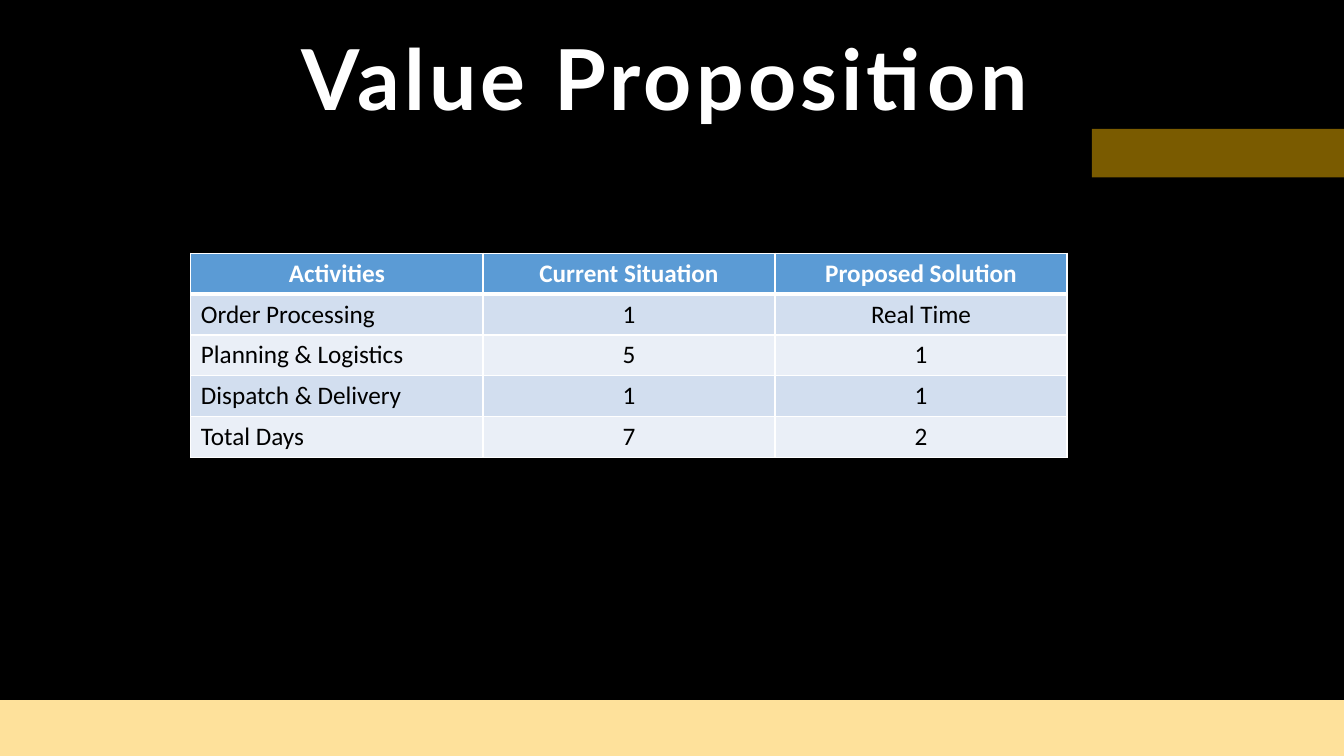
from dataclasses import dataclass

from lxml import etree
from pptx import Presentation
from pptx.dml.color import RGBColor
from pptx.enum.shapes import MSO_SHAPE
from pptx.enum.text import MSO_ANCHOR, PP_ALIGN
from pptx.oxml.ns import qn
from pptx.util import Cm, Pt

RECT = MSO_SHAPE.RECTANGLE
MIDDLE = MSO_ANCHOR.MIDDLE
LEFT, CENTER = PP_ALIGN.LEFT, PP_ALIGN.CENTER


@dataclass(frozen=True)
class Theme:
    back: str = "000000"
    gold: str = "FFC000"
    sand: str = "FEE19B"
    white: str = "FFFFFF"
    ink: str = "000000"
    head: str = "5B9BD5"
    bands: tuple = ("D2DEEF", "EAEFF7")
    title_font: str = "Lato"
    body_font: str = "Calibri"
    title_size: int = 60
    body_size: int = 18


theme = Theme()


def style(para, font, size, color, bold, align):
    para.alignment = align
    para.font.name = font
    para.font.size = Pt(size)
    para.font.bold = bold
    para.font.color.rgb = RGBColor.from_string(color)


def edge(cell, side, width):
    """Draw a white border on one side (L, R, T or B) of a cell."""
    props = cell._tc.get_or_add_tcPr()
    line = etree.SubElement(props, qn(f"a:ln{side}"), w=str(Pt(width)))
    fill = etree.SubElement(line, qn("a:solidFill"))
    etree.SubElement(fill, qn("a:srgbClr"), val=theme.white)


deck = Presentation()
deck.slide_width, deck.slide_height = Cm(33.87), Cm(19.05)
slide = deck.slides.add_slide(deck.slide_layouts[6])
slide.background.fill.solid()
slide.background.fill.fore_color.rgb = RGBColor.from_string(theme.back)

# Accent bar and footer band
bars = [
    (27.52, 3.25, 6.35, 1.22, theme.gold, 48),
    (0, 17.64, 33.87, 1.41, theme.sand, 100),
]
for left, top, width, height, color, alpha in bars:
    bar = slide.shapes.add_shape(RECT, Cm(left), Cm(top), Cm(width), Cm(height))
    bar.shadow.inherit = False
    bar.line.fill.background()
    bar.fill.solid()
    bar.fill.fore_color.rgb = RGBColor.from_string(color)
    if alpha < 100:
        tint = bar.fill._xPr.find(f".//{qn('a:srgbClr')}")
        etree.SubElement(tint, qn("a:alpha"), val=str(alpha * 1000))

# Title
title = slide.shapes.add_textbox(Cm(2.12), Cm(0.43), Cm(29.28), Cm(3.35))
frame = title.text_frame
frame.word_wrap = True
frame.vertical_anchor = MIDDLE
para = frame.paragraphs[0]
para.line_spacing = 0.9
style(para, theme.title_font, theme.title_size, theme.white, True, CENTER)
run = para.add_run()
run.text = "Value Proposition"
run.font._element.set("spc", "300")

# Comparison table
rows = [
    ("Activities", "Current Situation", "Proposed Solution"),
    ("Order Processing", "1", "Real Time"),
    ("Planning & Logistics", "5", "1"),
    ("Dispatch & Delivery", "1", "1"),
    ("Total Days", "7", "2"),
]
col_width, row_height = Cm(7.36), Cm(1.03)
table = slide.shapes.add_table(
    len(rows), 3, Cm(4.81), Cm(6.38), col_width * 3, row_height * len(rows)
).table
for col in table.columns:
    col.width = col_width
for r, row in enumerate(rows):
    table.rows[r].height = row_height
    top = r == 0
    for c, text in enumerate(row):
        cell = table.cell(r, c)
        cell.text = text
        style(
            cell.text_frame.paragraphs[0],
            theme.body_font,
            theme.body_size,
            theme.white if top else theme.ink,
            top,
            CENTER if top or c else LEFT,
        )
        for side in "LRTB":
            heavy = (r, side) in ((0, "B"), (1, "T"))
            edge(cell, side, 3 if heavy else 1)
        cell.fill.solid()
        color = theme.head if top else theme.bands[(r - 1) % 2]
        cell.fill.fore_color.rgb = RGBColor.from_string(color)

deck.save("out.pptx")
